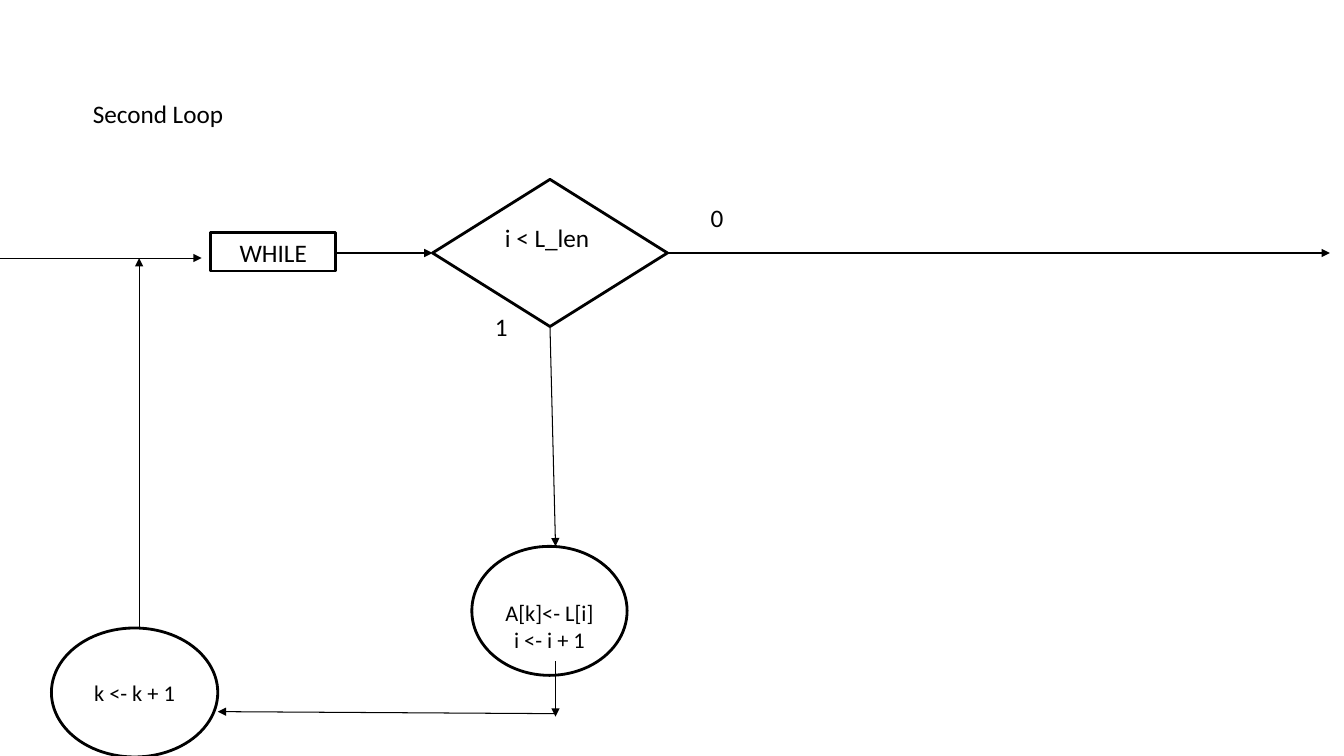
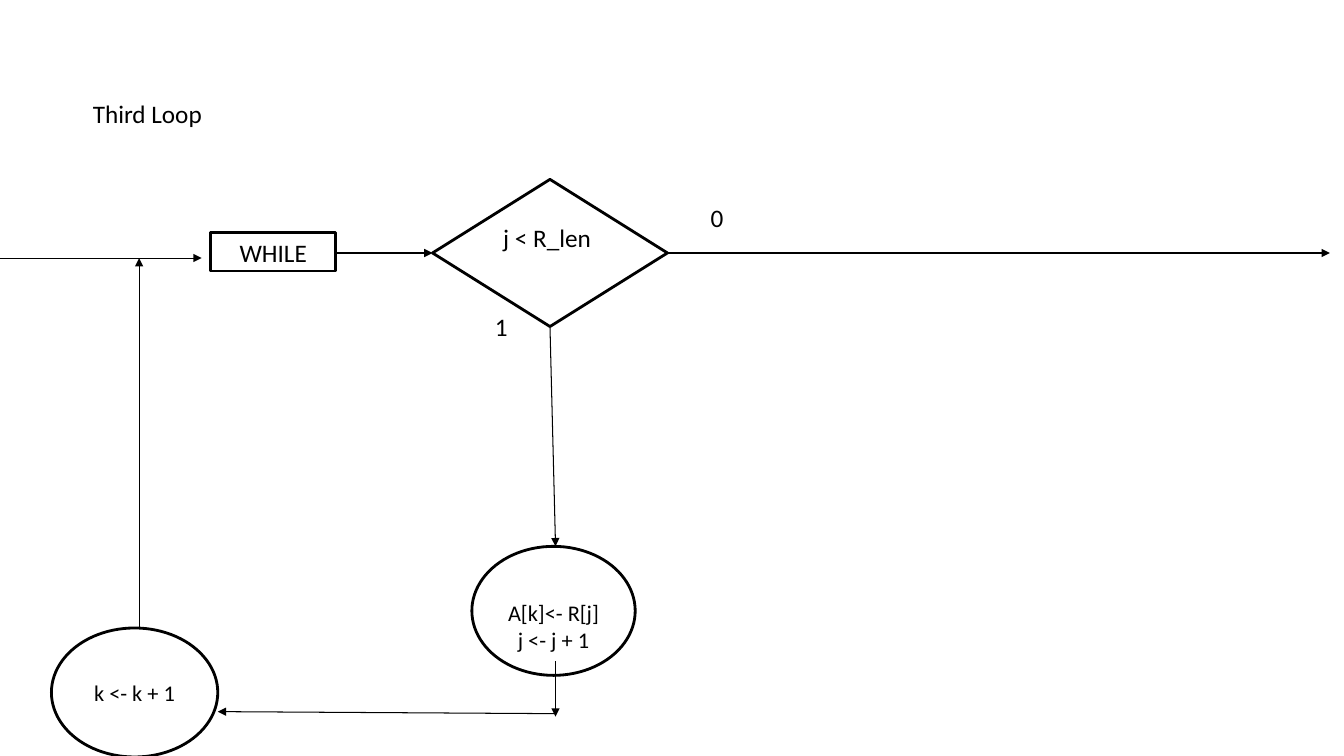
from dataclasses import dataclass

import pptx
import pptx.dml.color
import pptx.enum.shapes
import pptx.enum.text
import pptx.oxml.ns
import pptx.util
from lxml import etree

BLACK = pptx.dml.color.RGBColor(0, 0, 0)
WHITE = pptx.dml.color.RGBColor(255, 255, 255)
FONT = "Calibri"
LARGE, SMALL = 18, 16
SIDE_INSET, EDGE_INSET = 0.1, 0.05
TEXT_LINE = 0.3
SHAPE = pptx.enum.shapes.MSO_SHAPE
ALIGN = pptx.enum.text.PP_ALIGN
ANCHOR = pptx.enum.text.MSO_ANCHOR
inches = pptx.util.Inches


@dataclass
class Box:
    """A rectangle on a grid of one-inch columns and rows."""
    left: float
    top: float
    width: float
    height: float

    @property
    def right(self):
        """Return the right edge."""
        return self.left + self.width

    @property
    def bottom(self):
        """Return the bottom edge."""
        return self.top + self.height

    @property
    def center(self):
        """Return the horizontal centre."""
        return self.left + self.width / 2

    @property
    def middle(self):
        """Return the vertical centre."""
        return self.top + self.height / 2

    def inside(self, left, top, width, height):
        """Return a box placed relative to this one."""
        return Box(self.left + left, self.top + top, width, height)

    def lengths(self):
        """Return position and size as slide lengths."""
        return [inches(value) for value in (self.left, self.top, self.width, self.height)]


PAGE = Box(0, 0, 13.33, 7.5)
TITLE = PAGE.inside(0.92, 0.4, 11.5, 1.45)
DIAGRAM = PAGE.inside(0, 1.78, 13.33, 5.72)


def write(frame, lines, size=LARGE, align=ALIGN.LEFT, anchor=ANCHOR.TOP,
          insets=(SIDE_INSET, EDGE_INSET, SIDE_INSET, EDGE_INSET)):
    """Fill a text frame with one paragraph per line."""
    frame.word_wrap = True
    frame.auto_size = pptx.enum.text.MSO_AUTO_SIZE.NONE
    frame.vertical_anchor = anchor
    (frame.margin_left, frame.margin_top,
     frame.margin_right, frame.margin_bottom) = map(inches, insets)
    for index, line in enumerate(lines):
        para = frame.add_paragraph() if index else frame.paragraphs[0]
        para.alignment = align
        span = para.add_run()
        span.text = line
        span.font.name = FONT
        span.font.size = pptx.util.Pt(size)
        span.font.color.rgb = BLACK


def add_node(page, kind, box, lines, size=LARGE, above=0, below=0):
    """Draw an outlined node, with room kept above or below its text."""
    node = page.shapes.add_shape(kind, *box.lengths())
    node.shadow.inherit = False
    node.fill.solid()
    node.fill.fore_color.rgb = WHITE
    node.line.color.rgb = BLACK
    node.line.width = pptx.util.Pt(2)
    write(node.text_frame, lines, size, ALIGN.CENTER, ANCHOR.MIDDLE,
          (SIDE_INSET, EDGE_INSET + above, SIDE_INSET, EDGE_INSET + below))


def add_label(page, box, text):
    """Place a branch label."""
    write(page.shapes.add_textbox(*box.lengths()).text_frame, [text])


def add_arrow(page, start, end):
    """Draw a thin arrow between two points."""
    arrow = page.shapes.add_connector(
        pptx.enum.shapes.MSO_CONNECTOR.STRAIGHT,
        *[inches(value) for value in (*start, *end)])
    arrow.line.color.rgb = BLACK
    arrow.line.width = pptx.util.Pt(0.75)
    name = pptx.oxml.ns.qn
    etree.SubElement(arrow.line._get_or_add_ln(), name("a:tailEnd"), type="triangle")
    etree.SubElement(arrow._element.spPr, name("a:effectLst"))


def add_title(page, text):
    """Format the title placeholder and fill it."""
    title = page.shapes.title
    title.left, title.top, title.width, title.height = TITLE.lengths()
    write(title.text_frame, [text], anchor=ANCHOR.MIDDLE, insets=(0, 0, 0, 0))


def add_loop(page, area, condition, steps, step_width):
    """Draw a while loop inside an area."""
    keyword = area.inside(2.09, 0.53, 1.24, 0.38)
    decision = area.inside(4.29, 0, 2.33, 1.46)
    body = area.inside(4.68, 3.64, step_width, 1.28)
    counter = area.inside(0.51, 4.45, 1.65, 1.28)
    entry = area.top + 0.78
    down, back = area.left + 5.51, area.left + 1.38
    turn = area.top + 5.3

    add_node(page, SHAPE.RECTANGLE, keyword, ["WHILE"])
    add_node(page, SHAPE.FLOWCHART_DECISION, decision, [condition], below=TEXT_LINE)
    add_node(page, SHAPE.OVAL, body, steps, SMALL, above=TEXT_LINE)
    add_node(page, SHAPE.OVAL, counter, ["k <- k + 1"], SMALL)
    add_label(page, area.inside(6.95, 0.18, 0.4, 0.4), "0")
    add_label(page, area.inside(4.81, 1.26, 0.4, 0.4), "1")

    for start, end in (
        ((area.left, entry), (area.left + 2, entry)),
        ((keyword.right, decision.middle), (decision.left, decision.middle)),
        ((decision.right, decision.middle), (area.right - 0.14, decision.middle)),
        ((decision.center, decision.bottom), (down, body.top)),
        ((down, body.bottom - 0.14), (down, turn + 0.03)),
        ((down, turn), (counter.right, turn - 0.02)),
        ((back, counter.top), (back, entry)),
    ):
        add_arrow(page, start, end)


def main():
    """Build and save the deck."""
    deck = pptx.Presentation()
    deck.slide_width, deck.slide_height = inches(PAGE.width), inches(PAGE.height)
    loops = (
        ("Second Loop", "i < L_len ", ["A[k]<- L[i]", "i <- i + 1"], 1.54),
        ("Third Loop", "j < R_len ", ["A[k]<- R[j]", "j <- j + 1"], 1.62),
    )
    for title, condition, steps, step_width in loops:
        page = deck.slides.add_slide(deck.slide_layouts.get_by_name("Title Only"))
        add_title(page, title)
        add_loop(page, DIAGRAM, condition, steps, step_width)
    deck.save("out.pptx")


if __name__ == "__main__":
    main()
